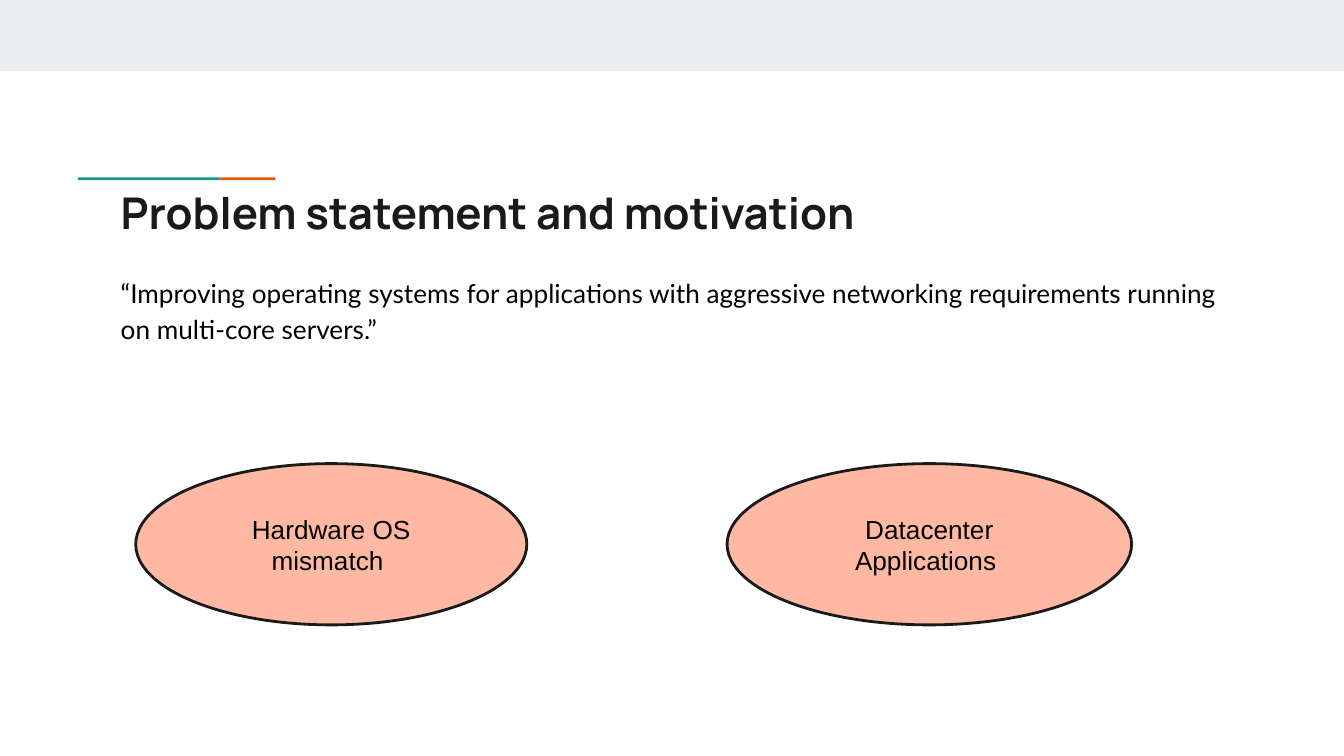
from pptx import Presentation
from pptx.dml.color import RGBColor
from pptx.enum.shapes import MSO_SHAPE
from pptx.enum.text import MSO_ANCHOR, PP_ALIGN
from pptx.util import Inches, Pt

RECTANGLE, OVAL = MSO_SHAPE.RECTANGLE, MSO_SHAPE.OVAL
TOP, MIDDLE = MSO_ANCHOR.TOP, MSO_ANCHOR.MIDDLE
LEFT, CENTER = PP_ALIGN.LEFT, PP_ALIGN.CENTER

WHITE = RGBColor(0xFF, 0xFF, 0xFF)
MIST = RGBColor(0xE9, 0xED, 0xEE)
TEAL = RGBColor(0x1A, 0x99, 0x88)
ORANGE = RGBColor(0xEB, 0x56, 0x00)
PEACH = RGBColor(0xFF, 0xB8, 0xA2)
INK = RGBColor(0x1A, 0x1A, 0x1A)
BLACK = RGBColor(0x00, 0x00, 0x00)

SLIDE_WIDTH = 10
SLIDE_HEIGHT = SLIDE_WIDTH * 9 / 16
INSET = Inches(0.1)


def add_filled(slide, outline, box, color):
    """Add a flat preset shape without a line."""
    shape = slide.shapes.add_shape(outline, *map(Inches, box))
    shape.shadow.inherit = False
    shape.fill.solid()
    shape.fill.fore_color.rgb = color
    shape.line.fill.background()
    return shape


def write(shape, text, font_name, size, color, align=LEFT, anchor=TOP):
    """Set one wrapped paragraph in a shape and return it."""
    frame = shape.text_frame
    frame.word_wrap = True
    frame.vertical_anchor = anchor
    frame.margin_left = frame.margin_right = INSET
    frame.margin_top = frame.margin_bottom = INSET
    frame.text = text
    paragraph = frame.paragraphs[0]
    paragraph.alignment = align
    font = paragraph.runs[0].font
    font.name, font.size = font_name, Pt(size)
    font.color.rgb = color
    return paragraph


def add_accent(slide, box):
    """Draw the two-colour rule, teal first and then orange."""
    left, top, width, height = box
    teal_width = 1.06
    add_filled(slide, RECTANGLE, (left, top, teal_width, height), TEAL)
    add_filled(slide, RECTANGLE,
               (left + teal_width, top, width - teal_width, height), ORANGE)


def add_statement(slide, box):
    """Place the heading with the quoted problem statement below it."""
    left, top, width, height = box
    body_offset = 0.65
    heading = slide.shapes.add_textbox(
        *map(Inches, (left, top, width, 0.59)))
    title = write(heading, "Problem statement and motivation ",
                  "Manrope", 23.4, INK)
    title.runs[0].font.bold = True

    body = slide.shapes.add_textbox(
        *map(Inches, (left, top + body_offset, width, height - body_offset)))
    quote = write(body, "“Improving operating systems for applications with "
                  "aggressive networking requirements running on "
                  "multi-core servers.”", "Lato", 14, BLACK)
    quote.line_spacing = 1.15


def add_motive(slide, box, label):
    """Draw an outlined ellipse naming one motivation."""
    motive = add_filled(slide, OVAL, box, PEACH)
    motive.line.color.rgb = INK
    motive.line.width = Pt(1.5)
    write(motive, label, "Arial", 14, BLACK, CENTER, MIDDLE)


def build_slide(prs):
    """Build the problem statement slide."""
    slide = prs.slides.add_slide(prs.slide_layouts[6])
    slide.background.fill.solid()
    slide.background.fill.fore_color.rgb = WHITE
    add_filled(slide, RECTANGLE, (0, 0, SLIDE_WIDTH, 0.53), MIST)
    add_accent(slide, (0.58, 1.32, 1.47, 0.02))
    add_statement(slide, (0.8, 1.28, 8.41, 4.27))
    for left, width, label in (
        (1.01, 2.91, "Hardware OS mismatch "),
        (5.41, 3.01, "Datacenter Applications "),
    ):
        add_motive(slide, (left, 3.45, width, 1.2), label)


presentation = Presentation()
presentation.slide_width = Inches(SLIDE_WIDTH)
presentation.slide_height = Inches(SLIDE_HEIGHT)
build_slide(presentation)
presentation.save("out.pptx")
